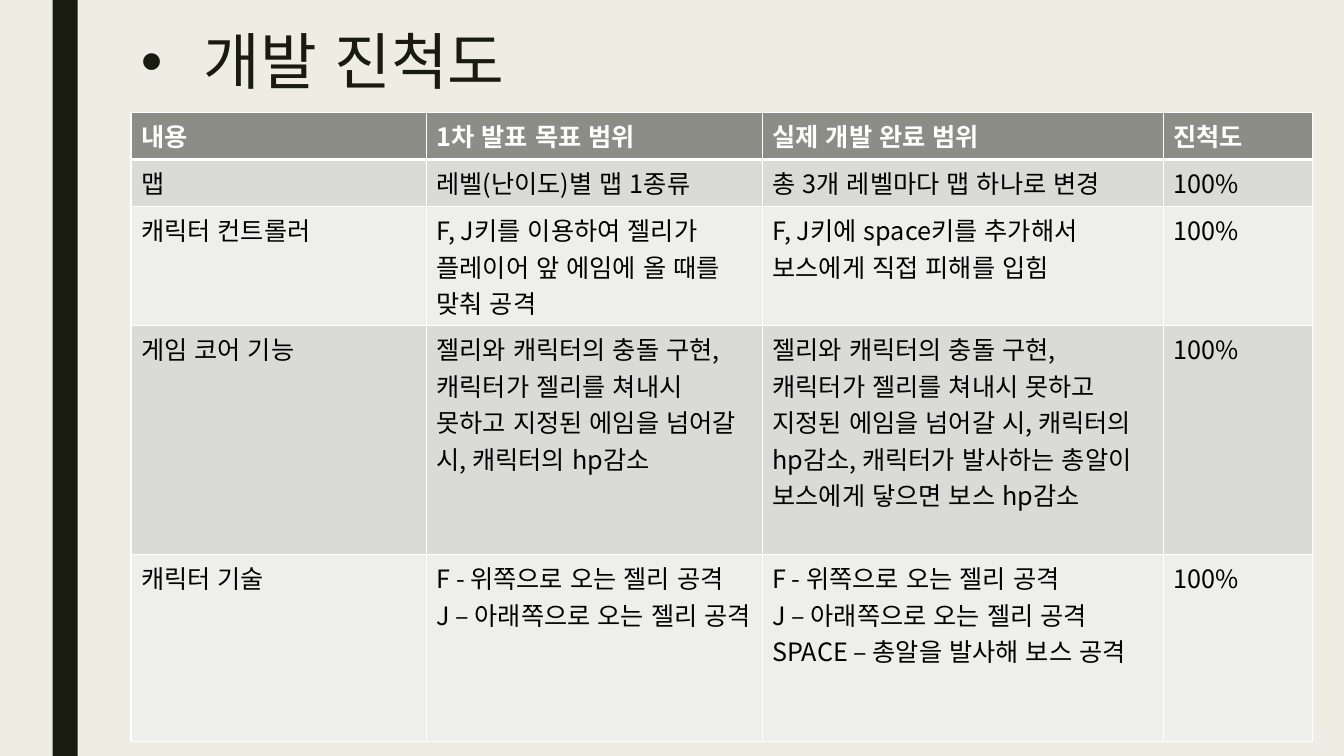
from lxml import etree
from pptx import Presentation
from pptx.dml.color import RGBColor
from pptx.enum.lang import MSO_LANGUAGE_ID
from pptx.enum.shapes import MSO_SHAPE
from pptx.oxml.ns import qn
from pptx.util import Pt

RECT = MSO_SHAPE.RECTANGLE
KOREAN = MSO_LANGUAGE_ID.KOREAN
FONT = "Noto Sans CJK KR"
DARK, WHITE, BLACK = "191B0E", "FFFFFF", "000000"
HEADER_FILL, ROW_FILLS = "8C8D86", ("DADBD9", "EEEEED")
COL_WIDTHS = (211, 240, 286.5, 106.5)
ROW_HEIGHTS = (33.5, 33.5, 85, 163.5, 133.5)
COLLISION = "젤리와 캐릭터의 충돌 구현,"
MISS = "캐릭터가 젤리를 쳐내시 못하고 지정된 에임을 넘어갈 시, 캐릭터의 hp감소"
KEYS = "F - 위쪽으로 오는 젤리 공격\nJ – 아래쪽으로 오는 젤리 공격"
ROWS = (
    ("내용", "1차 발표 목표 범위", "실제 개발 완료 범위", "진척도"),
    ("맵", "레벨(난이도)별 맵 1종류", "총 3개 레벨마다 맵 하나로 변경", "100%"),
    ("캐릭터 컨트롤러", "F, J키를 이용하여 젤리가 플레이어 앞 에임에 올 때를 맞춰 공격",
     "F, J키에 space키를 추가해서 보스에게 직접 피해를 입힘", "100%"),
    ("게임 코어 기능", f"{COLLISION}\n{MISS}",
     f"{COLLISION}\n{MISS}, 캐릭터가 발사하는 총알이 보스에게 닿으면 보스 hp감소", "100%"),
    ("캐릭터 기술", KEYS, f"{KEYS}\nSPACE – 총알을 발사해 보스 공격", "100%"),
)


def rgb(color):
    """Turn a hex string into a colour."""
    return RGBColor.from_string(color)


def add_run(p, text, size, color, bold=False):
    """Add one formatted run to a paragraph."""
    r = p.add_run()
    r.text = text
    r.font.size, r.font.bold = Pt(size), bold
    r.font.color.rgb = rgb(color)
    r.font.name = FONT
    r.font.language_id = KOREAN
    etree.SubElement(r.font._element, qn("a:ea"), typeface=FONT)


def add_border(cell, side, width):
    """Draw one white edge of a table cell."""
    ln = etree.SubElement(cell._tc.get_or_add_tcPr(), qn(f"a:ln{side}"), w=str(Pt(width)))
    fill = etree.SubElement(ln, qn("a:solidFill"))
    etree.SubElement(fill, qn("a:srgbClr"), val=WHITE)


def add_side_bar(s, x, y, w, h):
    """Place the dark vertical bar."""
    sp = s.shapes.add_shape(RECT, Pt(x), Pt(y), Pt(w), Pt(h))
    sp.shadow.inherit = False
    sp.fill.solid()
    sp.fill.fore_color.rgb = rgb(DARK)
    sp.line.fill.background()


def add_title(s, x, y, w, h):
    """Place the bulleted title."""
    tf = s.shapes.add_textbox(Pt(x), Pt(y), Pt(w), Pt(h)).text_frame
    tf.word_wrap = True
    p = tf.paragraphs[0]
    p.line_spacing = 0.89
    pPr = p._p.get_or_add_pPr()
    pPr.set("marL", str(Pt(45)))
    pPr.set("indent", str(-Pt(45)))
    etree.SubElement(pPr, qn("a:buFont"), typeface="Arial")
    etree.SubElement(pPr, qn("a:buChar"), char="•")
    add_run(p, "개발 진척도", 44, DARK)


def fill_cell(cell, text, row):
    """Set the text, borders and fill of a cell by its row."""
    header = row == 0
    for i, line in enumerate(text.split("\n")):
        tf = cell.text_frame
        p = tf.add_paragraph() if i else tf.paragraphs[0]
        add_run(p, line, 18, WHITE if header else BLACK, header)
    for side, width in zip("LRTB", (1, 1, 3 if row == 1 else 1, 3 if header else 1)):
        add_border(cell, side, width)
    cell.fill.solid()
    cell.fill.fore_color.rgb = rgb(HEADER_FILL if header else ROW_FILLS[(row - 1) % 2])


def add_progress_table(s, x, y, w, h):
    """Place the progress table."""
    table = s.shapes.add_table(len(ROWS), len(COL_WIDTHS), Pt(x), Pt(y), Pt(w), Pt(h)).table
    for col, width in zip(table.columns, COL_WIDTHS):
        col.width = Pt(width)
    for row, height in zip(table.rows, ROW_HEIGHTS):
        row.height = Pt(height)
    for i, texts in enumerate(ROWS):
        for j, text in enumerate(texts):
            fill_cell(table.cell(i, j), text, i)


def build_progress_slide(prs):
    """Build the development progress slide."""
    s = prs.slides.add_slide(prs.slide_layouts[6])
    s.background.fill.solid()
    s.background.fill.fore_color.rgb = rgb("EFEDE3")
    add_side_bar(s, 37.5, 0, 18, 540)
    add_title(s, 93.6, 19.5, 756, 74)
    add_progress_table(s, 93.6, 80.5, sum(COL_WIDTHS), sum(ROW_HEIGHTS))


prs = Presentation()
prs.slide_width, prs.slide_height = Pt(960), Pt(540)
build_progress_slide(prs)
prs.save("out.pptx")
